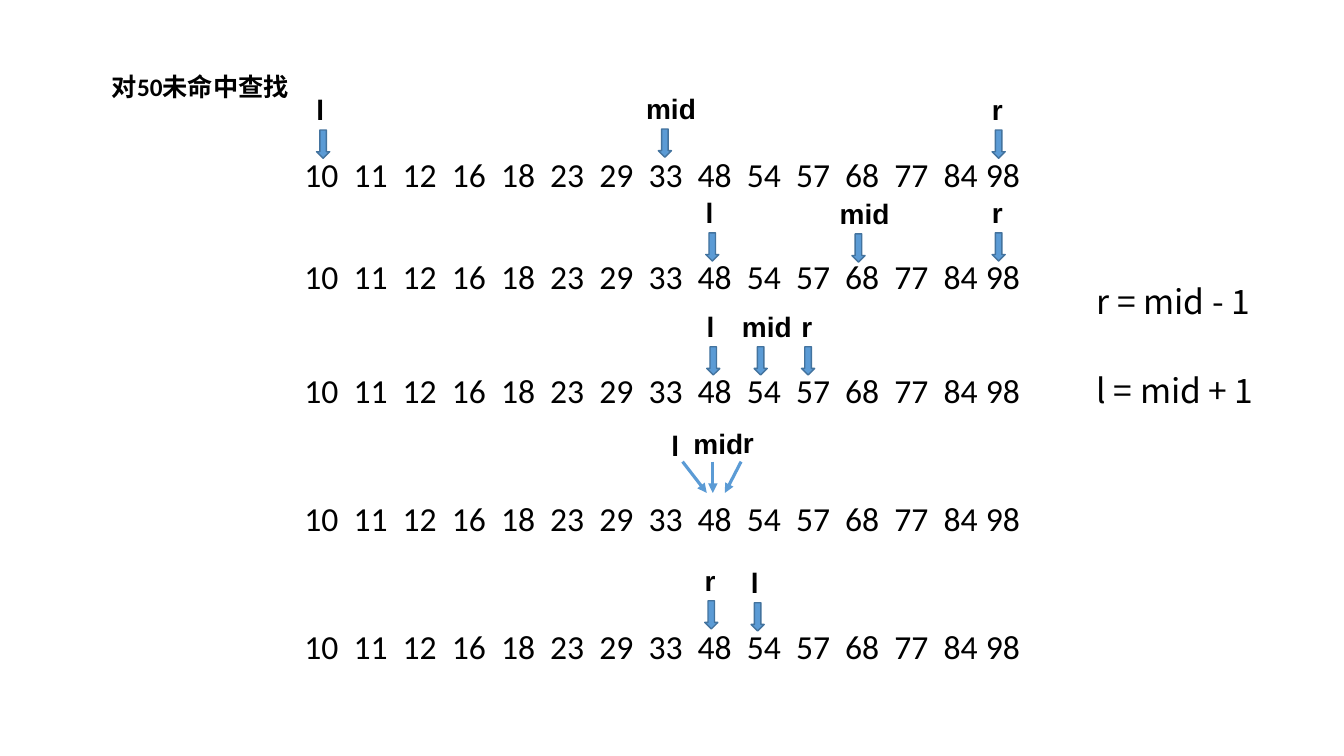
from lxml import etree
from pptx import Presentation
from pptx.dml.color import RGBColor
from pptx.enum.shapes import MSO_CONNECTOR as Connector, MSO_SHAPE as Preset
from pptx.enum.text import MSO_ANCHOR as Anchor, MSO_AUTO_SIZE as AutoSize, PP_ALIGN as Align
from pptx.oxml.ns import qn
from pptx.util import Inches, Pt

BLACK, BLUE, DARK_BLUE = "000000", "5B9BD5", "43739E"
NUMBERS = [10, 11, 12, 16, 18, 23, 29, 33, 48, 54, 57, 68, 77, 84, 98]
NUMBER_PITCH = 6.34 / 13
LAST_NUMBER = 6.76

# Top of each number row, with its pointers: name, arrow left, arrow top
STEPS = [
    (1.48, [("l", 3.14, 1.29), ("r", 9.84, 1.29), ("mid", 6.53, 1.28)]),
    (2.49, [("l", 7.00, 2.31), ("r", 9.84, 2.31), ("mid", 8.45, 2.32)]),
    (3.62, [("l", 7.01, 3.44), ("r", 7.95, 3.44), ("mid", 7.48, 3.44)]),
    (4.89, []),
    (6.16, [("l", 7.45, 5.98), ("r", 6.99, 5.96)]),
]
# Pointers that meet on one number: name, label left, label top, line start, line end
MEETING_POINTERS = [
    ("l", 6.56, 4.20, 6.77, 7.01),
    ("mid", 6.78, 4.18, 7.07, 7.07),
    ("r", 7.27, 4.17, 7.35, 7.19),
]


def rgb(value):
    return RGBColor.from_string(value)


def set_font(paragraph, name, size, bold=False):
    font = paragraph.font
    font.name, font.size, font.bold = name, Pt(size), bold
    font.color.rgb = rgb(BLACK)


def add_text(shapes, text, left, top, width, height, font, size, bold=False, wrap=True):
    box = shapes.add_textbox(Inches(left), Inches(top), Inches(width), Inches(height))
    box.text_frame.word_wrap = wrap
    paragraph = box.text_frame.paragraphs[0]
    paragraph.text = text
    set_font(paragraph, font, size, bold)
    return paragraph


def add_title(slide, text):
    title = slide.shapes.title
    title.left, title.top = Inches(1.01), Inches(0.66)
    title.width, title.height = Inches(5.16), Inches(0.4)
    frame = title.text_frame
    frame.text = text
    frame.vertical_anchor = Anchor.TOP
    frame.auto_size = AutoSize.NONE
    paragraph = frame.paragraphs[0]
    paragraph.alignment = Align.LEFT
    set_font(paragraph, "Calibri", 18, bold=True)


def add_number_row(slide, top):
    """Write the sorted numbers on one line, each at its own tab stop."""
    text = "\t".join(str(number) for number in NUMBERS)
    paragraph = add_text(slide.shapes, "", 2.92, top, 7.39, 0.5, "Calibri", 24)
    paragraph.text = text
    stops = [NUMBER_PITCH * index for index in range(1, len(NUMBERS) - 1)] + [LAST_NUMBER]
    properties = paragraph._p.get_or_add_pPr()
    tab_list = etree.Element(qn("a:tabLst"))
    for stop in stops:
        etree.SubElement(tab_list, qn("a:tab"), pos=str(Inches(stop)), algn="l")
    properties.insert(0, tab_list)


def add_label(shapes, name, left, top):
    width = 0.83 if name == "mid" else 0.29
    add_text(shapes, name, left, top, width, 0.44, "Arial", 20, bold=True)


def add_pointer(slide, name, left, top):
    """Group a block arrow with the label above it."""
    shapes = slide.shapes.add_group_shape().shapes
    arrow = shapes.add_shape(Preset.DOWN_ARROW, Inches(left), Inches(top),
                             Inches(0.13), Inches(0.28))
    arrow.shadow.inherit = False
    arrow.fill.solid()
    arrow.fill.fore_color.rgb = rgb(BLUE)
    arrow.line.color.rgb = rgb(DARK_BLUE)
    arrow.line.width = Pt(1)
    offset = 0.22 if name == "mid" else 0.1
    add_label(shapes, name, left - offset, top - 0.42)


def add_line_arrow(slide, start_x, start_y, end_x, end_y):
    connector = slide.shapes.add_connector(Connector.STRAIGHT, Inches(start_x), Inches(start_y),
                                           Inches(end_x), Inches(end_y))
    connector.line.color.rgb = rgb(BLUE)
    connector.line.width = Pt(2.25)
    etree.SubElement(connector.line._get_or_add_ln(), qn("a:tailEnd"), type="triangle")
    etree.SubElement(connector._element.spPr, qn("a:effectLst"))


def main():
    presentation = Presentation()
    presentation.slide_width, presentation.slide_height = Inches(13.33), Inches(7.5)
    slide = presentation.slides.add_slide(presentation.slide_layouts.get_by_name("Title Only"))

    add_title(slide, "对50未命中查找")
    for row_top, pointers in STEPS:
        add_number_row(slide, row_top)
        for name, left, top in pointers:
            add_pointer(slide, name, left, top)
    for name, left, top, start_x, end_x in MEETING_POINTERS:
        add_line_arrow(slide, start_x, 4.58, end_x, 4.89)
        add_label(slide.shapes, name, left, top)
    for formula, top in [("r = mid - 1", 2.74), ("l = mid + 1", 3.62)]:
        add_text(slide.shapes, formula, 10.78, top, 2.05, 0.5, "Noto Sans CJK SC", 24, wrap=False)

    presentation.save("out.pptx")


if __name__ == "__main__":
    main()
